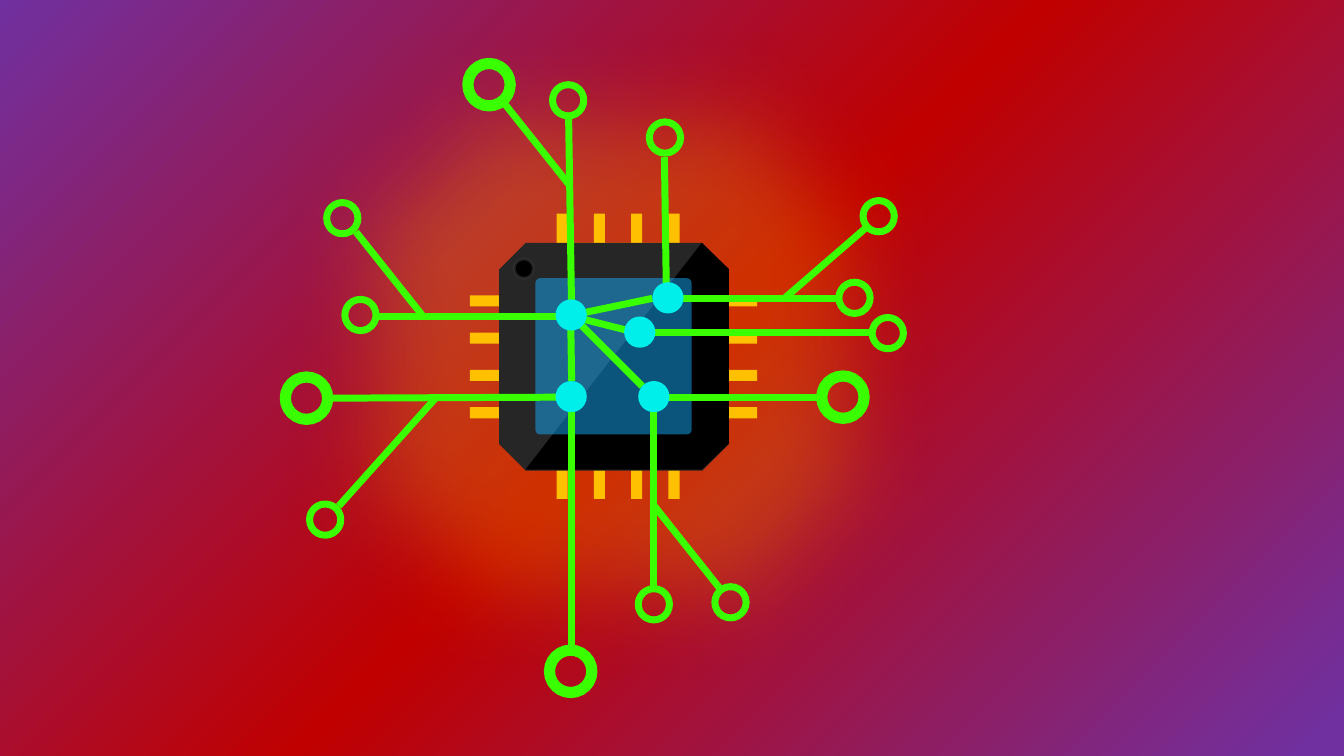
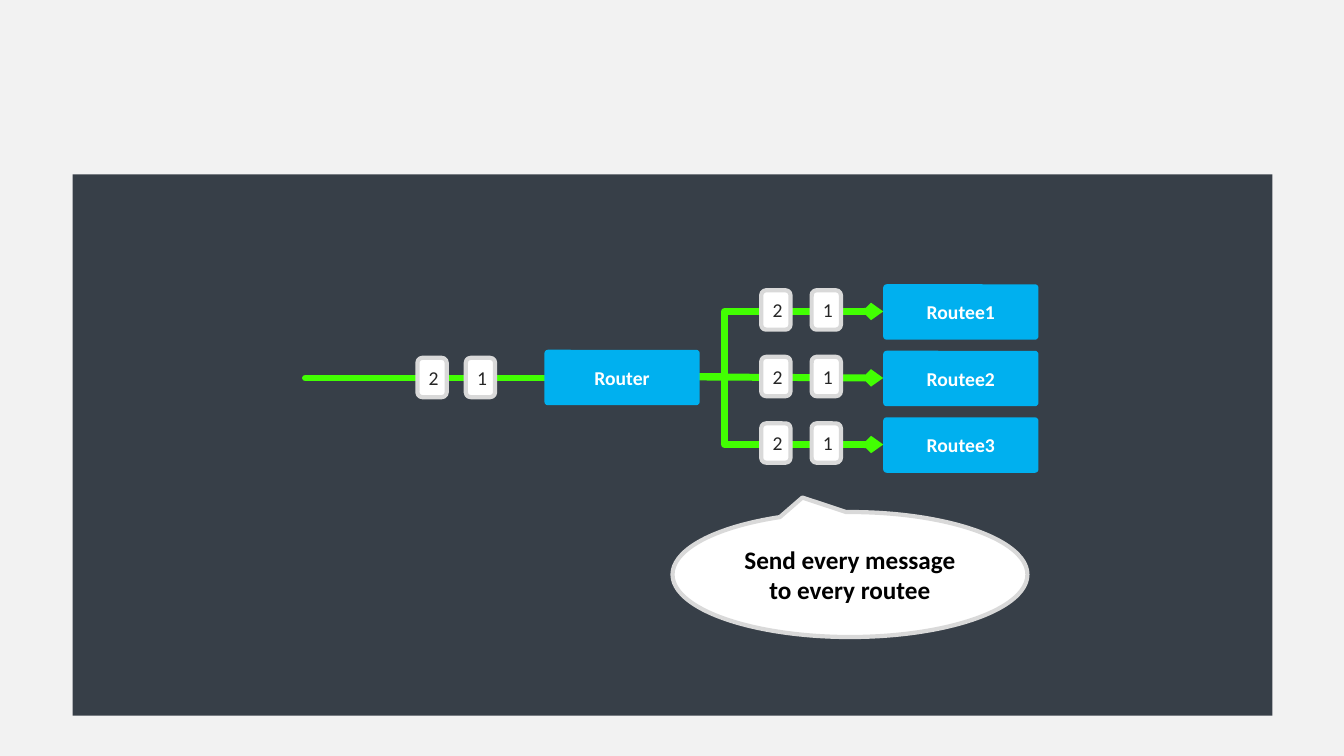
from typing import Any, NamedTuple, Optional

from pptx import Presentation
from pptx.dml.color import RGBColor
from pptx.enum.shapes import MSO_CONNECTOR, MSO_SHAPE
from pptx.enum.text import MSO_ANCHOR, PP_ALIGN
from pptx.oxml.ns import qn
from pptx.util import Inches, Pt
from lxml.etree import SubElement

FONT = "Calibri"
LIME, NEON, CYAN, SKY, GOLD = "3AFF00", "42FF02", "00EFEA", "00B0EF", "FEC000"
BLACK, COAL, WHITE, SILVER = "000000", "262626", "FFFFFF", "D9D9D9"
SLATE, PAPER, RED, PURPLE = "373F48", "F2F2F2", "C00000", "7030A0"


class Box(NamedTuple):
    """Place and size in inches."""
    x: float
    y: float
    w: float
    h: float


class Look(NamedTuple):
    """Fill, outline and corner values of a shape."""
    fill: Optional[str] = None
    line: Optional[str] = None
    width: float = 0
    adjust: tuple = ()
    alpha: int = 100


class Type(NamedTuple):
    """Size, colour and weight of text."""
    size: int
    color: str
    bold: bool = False


class Wire(NamedTuple):
    """Ends of a straight line in inches."""
    x1: float
    y1: float
    x2: float
    y2: float


class Ring(NamedTuple):
    """Top left corner of a ring, and whether it is large."""
    x: float
    y: float
    large: bool = False


CORE = Look("17AEFF", adjust=(0.03,), alpha=49)
NODE = Look(SKY, adjust=(0.062,))
CARD = Look(WHITE, SILVER, 3)
WIRES = [Wire(*ends) for ends in (
    (5.67, 3.13, 6.37, 3.83), (5.67, 3.78, 5.66, 3.14), (5.68, 3.14, 6.31, 3.3),
    (5.66, 3.13, 6.47, 2.96), (8.13, 3.94, 6.48, 3.94), (8.65, 3.3, 6.37, 3.3),
    (8.32, 2.96, 6.62, 2.96), (5.64, 1.18, 5.67, 3.1), (5.67, 3.95, 5.67, 6.45),
    (6.48, 3.95, 6.48, 5.82), (6.59, 1.56, 6.61, 2.95), (5.65, 3.14, 3.75, 3.14),
    (5.65, 3.94, 3.3, 3.95), (4.19, 3.13, 3.53, 2.3), (5.65, 1.84, 4.99, 1.01),
    (7.15, 5.85, 6.49, 5.02), (7.78, 2.96, 8.6, 2.25), (3.36, 5.02, 4.32, 3.95))]
RINGS = [Ring(*spot) for spot in (
    (8.56, 1.99), (8.65, 3.15), (7.09, 5.82), (6.33, 5.84), (8.32, 2.8),
    (6.44, 1.21), (3.24, 2.01), (4.64, 0.63, True), (3.42, 2.97), (5.48, 0.84),
    (3.07, 5), (2.83, 3.74, True), (8.15, 3.73, True), (5.45, 6.45, True))]
DOTS = ((5.51, 2.97), (6.19, 3.14), (6.47, 2.8), (5.51, 3.78), (6.33, 3.78))


def color(value: str) -> RGBColor:
    """Turn a hex string into a colour."""
    return RGBColor.from_string(value)


def assign(target: Any, values: dict) -> None:
    """Set attributes from a dict of format values."""
    for name, value in values.items():
        setattr(target, name, value)


def fade(part: Any, alpha: int) -> None:
    """Give the first colour in an XML part its opacity in percent."""
    tone = next(part.iter(qn("a:srgbClr")))
    SubElement(tone, qn("a:alpha")).set("val", str(alpha * 1000))


def style(shape: Any, look: Look) -> None:
    """Apply fill and outline, and drop the shadow."""
    shape.shadow.inherit = False
    if look.fill:
        shape.fill.solid()
        shape.fill.fore_color.rgb = color(look.fill)
        if look.alpha < 100:
            fade(shape._element.spPr, look.alpha)
    else:
        shape.fill.background()
    if look.line:
        shape.line.color.rgb = color(look.line)
        shape.line.width = Pt(look.width)
    else:
        shape.line.fill.background()


def write(shape: Any, text: str, kind: Type) -> None:
    """Put centred text in a shape."""
    frame = shape.text_frame
    assign(frame, {"word_wrap": True, "vertical_anchor": MSO_ANCHOR.MIDDLE})
    para = frame.paragraphs[0]
    para.alignment = PP_ALIGN.CENTER
    run = para.add_run()
    run.text = text
    assign(run.font, {"name": FONT, "size": Pt(kind.size), "bold": kind.bold})
    run.font.color.rgb = color(kind.color)


def draw(slide: Any, form: Any, box: Box, look: Look) -> Any:
    """Add a preset shape."""
    shape = slide.shapes.add_shape(form, *(Inches(side) for side in box))
    for index, value in enumerate(look.adjust):
        shape.adjustments[index] = value
    style(shape, look)
    return shape


def outline(slide: Any, points: list, look: Look) -> Any:
    """Add a closed outline through points in inches."""
    spots = [(Inches(x), Inches(y)) for x, y in points]
    pen = slide.shapes.build_freeform(*spots[0])
    pen.add_line_segments(spots[1:], close=True)
    shape = pen.convert_to_shape()
    style(shape, look)
    return shape


def link(slide: Any, wire: Wire, hue: str, bend: Optional[float] = None,
         arrow: bool = False, cap: str = "flat") -> None:
    """Add a straight or bent line."""
    form = MSO_CONNECTOR.STRAIGHT if bend is None else MSO_CONNECTOR.ELBOW
    line = slide.shapes.add_connector(form, *(Inches(end) for end in wire))
    line.line.color.rgb = color(hue)
    line.line.width = Pt(5)
    part = line._element.spPr
    stroke = part.find(qn("a:ln"))
    stroke.set("cap", cap)
    SubElement(stroke, qn("a:round"))
    if arrow:
        tail = SubElement(stroke, qn("a:tailEnd"))
        for name, value in {"type": "arrow", "w": "sm", "len": "sm"}.items():
            tail.set(name, value)
    if bend is not None:
        form = part.find(qn("a:prstGeom"))
        guides = form.find(qn("a:avLst"))
        if guides is None:
            guides = SubElement(form, qn("a:avLst"))
        guide = SubElement(guides, qn("a:gd"))
        guide.set("name", "adj1")
        guide.set("fmla", f"val {round(bend * 100000)}")
    SubElement(part, qn("a:effectLst"))


def shade(slide: Any) -> None:
    """Fill the background with a diagonal blend."""
    fill = slide.background.fill
    fill.gradient()
    fill.gradient_angle = 315
    stops = next(slide._element.iter(qn("a:gsLst")))
    for stop in list(stops):
        stops.remove(stop)
    for place, hue in ((0, PURPLE), (50, RED), (98, PURPLE)):
        stop = SubElement(stops, qn("a:gs"))
        stop.set("pos", str(place * 1000))
        SubElement(stop, qn("a:srgbClr")).set("val", hue)


def pins() -> list:
    """Trace the chip body with four pins on each side."""
    top, right, base, left = [], [], [], []
    for index in range(4):
        x, y = 5.52 + 0.37 * index, 2.93 + 0.37 * index
        far, low = x + 0.11, y + 0.11
        top += [(x, 2.41), (x, 2.12), (far, 2.12), (far, 2.41)]
        base += [(x, 4.66), (x, 4.95), (far, 4.95), (far, 4.66)]
        right += [(7.22, y), (7.51, y), (7.51, low), (7.22, low)]
        left += [(4.95, y), (4.66, y), (4.66, low), (4.95, low)]
    return top + right + base[::-1] + left[::-1]


def glow(shape: Any, hue: str, size: int, alpha: int) -> None:
    """Put a soft halo around a shape."""
    halo = SubElement(shape._element.spPr.find(qn("a:effectLst")), qn("a:glow"))
    halo.set("rad", str(Pt(size)))
    SubElement(halo, qn("a:srgbClr")).set("val", hue)
    fade(halo, alpha)


def chip(slide: Any) -> None:
    """Draw the chip and its circuit."""
    shade(slide)
    glow(outline(slide, pins(), Look(GOLD)), GOLD, 130, 25)
    draw(slide, MSO_SHAPE.OCTAGON, Box(4.95, 2.41, 2.28, 2.26),
         Look(COAL, adjust=(0.117,)))
    outline(slide, [(5.21, 4.66), (6.96, 2.41), (7.23, 2.67), (7.23, 4.4),
                    (6.96, 4.66)], Look(BLACK))
    draw(slide, MSO_SHAPE.ROUNDED_RECTANGLE, Box(5.31, 2.76, 1.55, 1.55), CORE)
    mark = draw(slide, MSO_SHAPE.OVAL, Box(5.1, 2.57, 0.19, 0.19),
                Look(BLACK, "404040", 2))
    fade(mark._element.spPr.find(qn("a:ln")), 41)
    for wire in WIRES:
        link(slide, wire, LIME)
    for ring in RINGS:
        size, width = (0.42, 8) if ring.large else (0.31, 5)
        draw(slide, MSO_SHAPE.OVAL, Box(ring.x, ring.y, size, size),
             Look(None, LIME, width))
    for x, y in DOTS:
        draw(slide, MSO_SHAPE.OVAL, Box(x, y, 0.31, 0.31), Look(CYAN))


def node(slide: Any, x: float, y: float, text: str) -> None:
    """Draw a router or routee."""
    shape = draw(slide, MSO_SHAPE.ROUNDED_RECTANGLE, Box(x, y, 1.54, 0.55), NODE)
    write(shape, text, Type(14, WHITE, True))


def cards(slide: Any, x: float, y: float, step: float) -> None:
    """Draw the queue of two messages."""
    for index, text in enumerate("21"):
        box = Box(x + step * index, y, 0.29, 0.39)
        shape = draw(slide, MSO_SHAPE.ROUNDED_RECTANGLE, box, CARD)
        write(shape, text, Type(14, COAL))


def router(slide: Any) -> None:
    """Draw the router that sends to all routees."""
    slide.background.fill.solid()
    slide.background.fill.fore_color.rgb = color(PAPER)
    draw(slide, MSO_SHAPE.RECTANGLE, Box(0.72, 1.73, 11.9, 5.37), Look(SLATE))
    note = draw(slide, MSO_SHAPE.OVAL_CALLOUT, Box(6.67, 5.08, 3.52, 1.24),
                CARD._replace(adjust=(-0.134, -0.616)))
    write(note, "Send every message to every routee", Type(18, BLACK, True))
    for y, bend in ((4.41, 0.135), (3.09, 0.135), (3.75, None)):
        link(slide, Wire(6.94, 3.74, 8.76, y), NEON, bend, True, "rnd")
    link(slide, Wire(3.03, 3.75, 5.4, 3.75), NEON, cap="rnd")
    cards(slide, 4.14, 3.55, 0.48)
    node(slide, 5.4, 3.47, "Router")
    for index in range(3):
        y = 2.82 + 0.66 * index
        cards(slide, 7.55, y + 0.06, 0.5)
        node(slide, 8.76, y, f"Routee{index + 1}")


def main() -> None:
    """Build and save the deck."""
    deck = Presentation()
    assign(deck, {"slide_width": Inches(13.33), "slide_height": Inches(7.5)})
    for paint in (chip, router):
        paint(deck.slides.add_slide(deck.slide_layouts[6]))
    deck.save("out.pptx")


if __name__ == "__main__":
    main()
